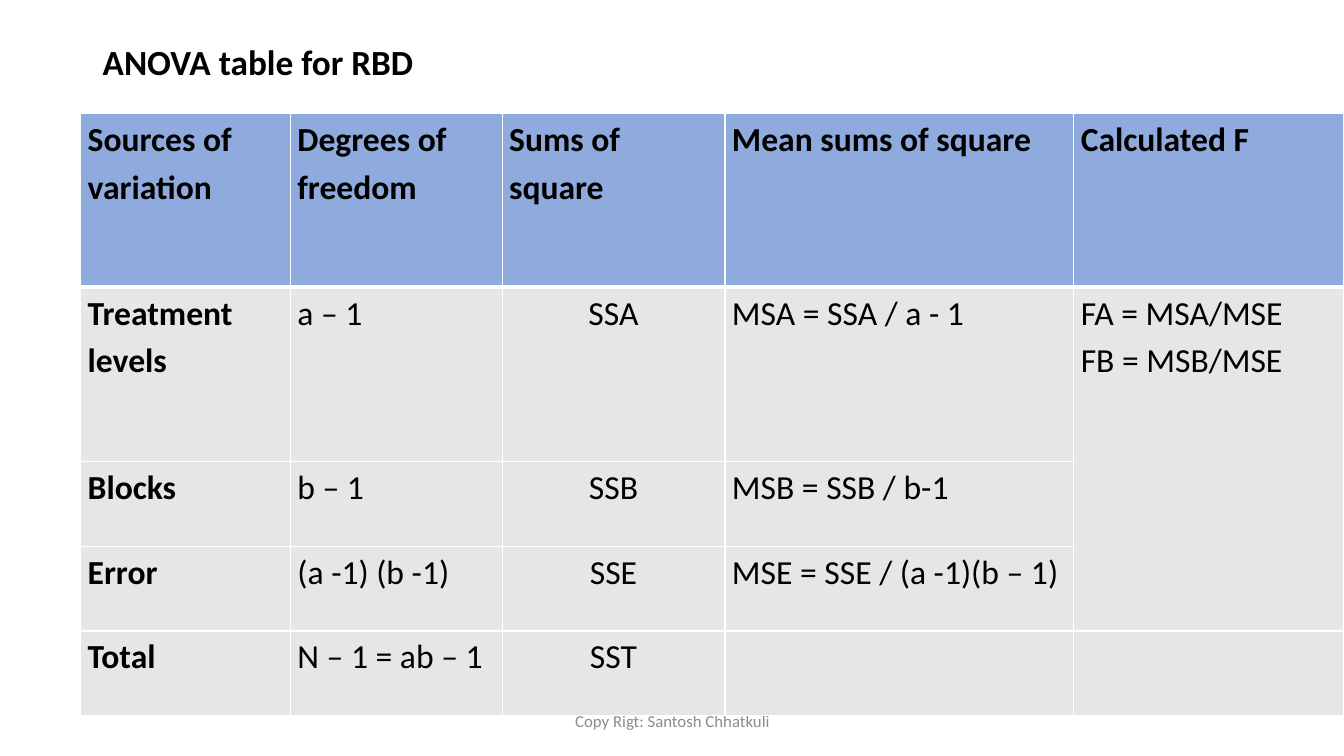
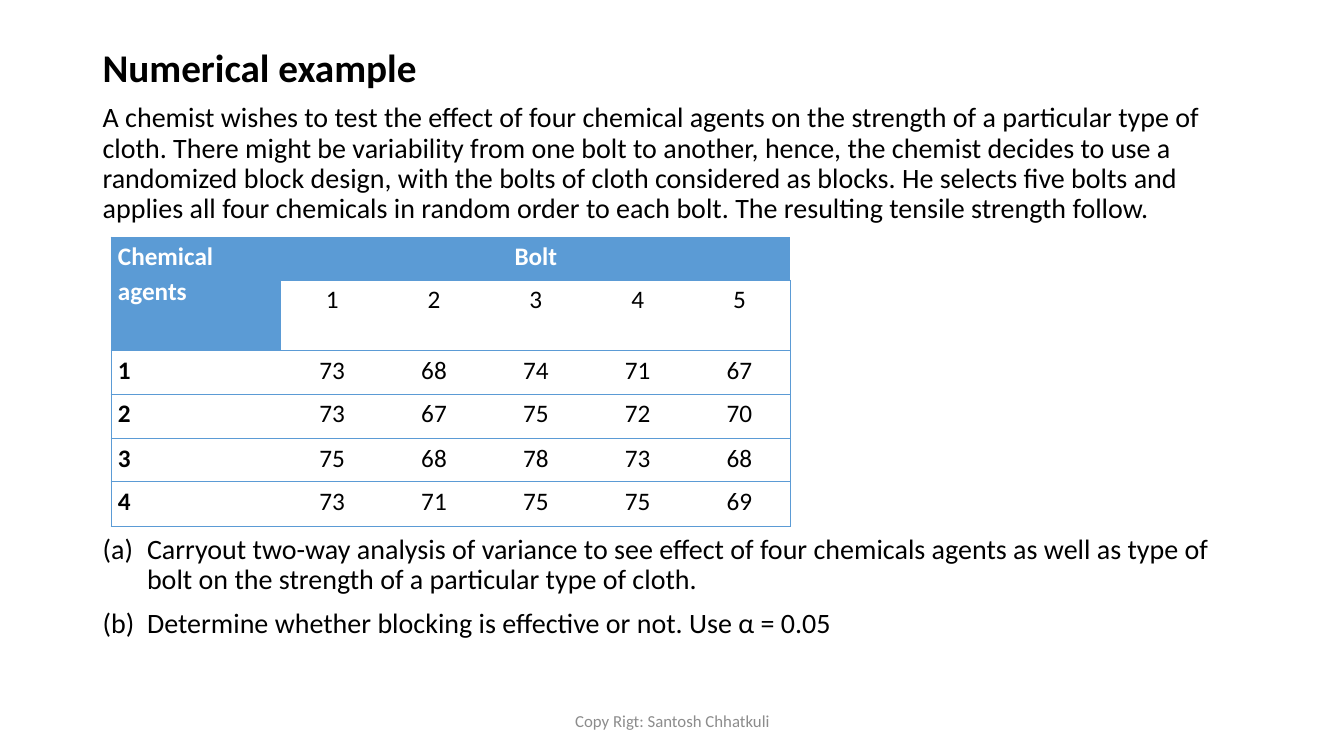
from lxml.etree import SubElement
from pptx import Presentation
from pptx.dml.color import RGBColor
from pptx.enum.text import MSO_ANCHOR, PP_ALIGN
from pptx.oxml.ns import qn
from pptx.util import Inches, Pt

FONT = "Calibri"
BLACK = RGBColor(0x00, 0x00, 0x00)
WHITE = RGBColor(0xFF, 0xFF, 0xFF)
GREY = RGBColor(0x8C, 0x8C, 0x8C)
PALE_GREY = RGBColor(0xE7, 0xE6, 0xE6)
PERIWINKLE = RGBColor(0x8F, 0xAA, 0xDC)
BLUE = RGBColor(0x5B, 0x9B, 0xD5)

FOOTER = "Copy Rigt: Santosh Chhatkuli"

ANOVA_TITLE = "ANOVA table for RBD"
ANOVA_ROWS = [
    ["Sources of variation", "Degrees of freedom", "Sums of square", "Mean sums of square", "Calculated F"],
    ["Treatment levels", "a – 1", "SSA", "MSA = SSA / a - 1", "FA = MSA/MSE\nFB = MSB/MSE"],
    ["Blocks", "b – 1", "SSB", "MSB = SSB / b-1", ""],
    ["Error", "(a -1) (b -1)", "SSE", "MSE = SSE / (a -1)(b – 1)", ""],
    ["Total", "N – 1 = ab – 1", "SST", "", ""],
]
ANOVA_WIDTHS = [2.08, 2.1, 2.21, 3.46, 2.68]
ANOVA_HEIGHTS = [1.72, 1.73, 0.84, 0.84, 0.84]

EXAMPLE_TITLE = "Numerical example"
PROBLEM = (
    "A chemist wishes to test the effect of four chemical agents on the strength of a particular type of "
    "cloth. There might be variability from one bolt to another, hence, the chemist decides to use a "
    "randomized block design, with the bolts of cloth considered as blocks. He selects five bolts and "
    "applies all four chemicals in random order to each bolt. The resulting tensile strength follow."
)
STRENGTHS = [
    [73, 68, 74, 71, 67],
    [73, 67, 75, 72, 70],
    [75, 68, 78, 73, 68],
    [73, 71, 75, 75, 69],
]
BOLT_WIDTHS = [1.69] + [1.01] * 5
BOLT_HEIGHTS = [0.43, 0.7] + [0.43, 0.44] * 2
QUESTIONS = [
    "(a)\tCarryout two-way analysis of variance to see effect of four chemicals agents as well as type of "
    "bolt on the strength of a particular type of cloth.",
    "(b)\tDetermine whether blocking is effective or not. Use α = 0.05",
]


def set_font(paragraph, size, color=BLACK, bold=False):
    font = paragraph.font
    font.name, font.size, font.bold = FONT, Pt(size), bold
    font.color.rgb = color


def add_text(slide, box, paragraphs, size, color=BLACK, bold=False, align=PP_ALIGN.LEFT,
             anchor=MSO_ANCHOR.TOP, line_spacing=0.9, hanging=0):
    frame = slide.shapes.add_textbox(*map(Inches, box)).text_frame
    frame.word_wrap = True
    frame.vertical_anchor = anchor
    for index, text in enumerate(paragraphs):
        paragraph = frame.add_paragraph() if index else frame.paragraphs[0]
        paragraph.text = text
        paragraph.alignment = align
        paragraph.line_spacing = line_spacing
        if index:
            paragraph.space_before = Pt(10)
        if hanging:
            properties = paragraph._p.get_or_add_pPr()
            properties.set("marL", str(Inches(hanging)))
            properties.set("indent", str(-Inches(hanging)))
        set_font(paragraph, size, color, bold)


def add_slide(deck, title, title_size, title_height):
    slide = deck.slides.add_slide(deck.slide_layouts[6])
    add_text(slide, (0.92, 0.4, 11.5, title_height), [title], title_size, bold=True,
             anchor=MSO_ANCHOR.MIDDLE)
    add_text(slide, (4.42, 6.95, 4.5, 0.4), [FOOTER], 12, GREY, align=PP_ALIGN.CENTER,
             anchor=MSO_ANCHOR.MIDDLE, line_spacing=1)
    return slide


def set_borders(cell, color, left, right, top, bottom):
    properties = cell._tc.get_or_add_tcPr()
    for position, (side, width) in enumerate(zip("LRTB", (left, right, top, bottom))):
        line = SubElement(properties, qn(f"a:ln{side}"), w=str(Pt(width)))
        if width:
            SubElement(SubElement(line, qn("a:solidFill")), qn("a:srgbClr"), val=str(color))
        else:
            SubElement(line, qn("a:noFill"))
        properties.insert(position, line)


def add_grid(slide, left, top, widths, heights, rows, size, style):
    grid = slide.shapes.add_table(len(heights), len(widths), Inches(left), Inches(top),
                                  Inches(sum(widths)), Inches(sum(heights))).table
    grid.first_row = grid.horz_banding = False
    for column, width in zip(grid.columns, widths):
        column.width = Inches(width)
    for row, height in zip(grid.rows, heights):
        row.height = Inches(height)
    for r, row in enumerate(rows):
        for c, text in enumerate(row):
            fill, color, bold, centred, line_color, borders = style(r, c)
            cell = grid.cell(r, c)
            cell.text = str(text)
            cell.margin_left = cell.margin_right = Inches(0.07)
            cell.margin_top = cell.margin_bottom = 0
            cell.fill.solid()
            cell.fill.fore_color.rgb = fill
            set_borders(cell, line_color, *borders)
            for paragraph in cell.text_frame.paragraphs:
                paragraph.line_spacing = 1.15
                paragraph.alignment = PP_ALIGN.CENTER if centred else PP_ALIGN.LEFT
                set_font(paragraph, size, color, bold)
    return grid


def anova_style(r, c):
    header = r == 0
    borders = (1, 1, 3 if r == 1 else 1, 3 if header else 1)
    return (PERIWINKLE if header else PALE_GREY, BLACK, header or c == 0,
            c == 2 and not header, WHITE, borders)


def bolt_style(r, c):
    header = r == 0 or (r == 1 and c == 0)
    borders = (0.5 if c == 0 else 0, 0.5 if c == len(BOLT_WIDTHS) - 1 else 0, 0.5, 0.5)
    return (BLUE if header else WHITE, WHITE if header else BLACK, header or c == 0,
            c > 0, BLUE, borders)


def build_anova(deck):
    slide = add_slide(deck, ANOVA_TITLE, 25.2, 0.48)
    anova = add_grid(slide, 0.8, 1.13, ANOVA_WIDTHS, ANOVA_HEIGHTS, ANOVA_ROWS, 24, anova_style)
    anova.cell(1, 4).merge(anova.cell(3, 4))


def build_example(deck):
    slide = add_slide(deck, EXAMPLE_TITLE, 28, 0.58)
    add_text(slide, (0.92, 0.98, 11.5, 1.3), [PROBLEM], 20)
    bolts = range(1, len(BOLT_WIDTHS))
    rows = [["Chemical agents", "Bolt"] + [""] * (len(bolts) - 1), ["", *bolts]]
    rows += [[agent, *values] for agent, values in enumerate(STRENGTHS, 1)]
    strengths = add_grid(slide, 1.1, 2.35, BOLT_WIDTHS, BOLT_HEIGHTS, rows, 18, bolt_style)
    strengths.cell(0, 0).merge(strengths.cell(1, 0))
    strengths.cell(0, 1).merge(strengths.cell(0, len(bolts)))
    add_text(slide, (0.92, 5.26, 11.5, 1.2), QUESTIONS, 20, hanging=0.44)


def main():
    deck = Presentation()
    deck.slide_width, deck.slide_height = Inches(13.33), Inches(7.5)
    build_anova(deck)
    build_example(deck)
    deck.save("out.pptx")


if __name__ == "__main__":
    main()
